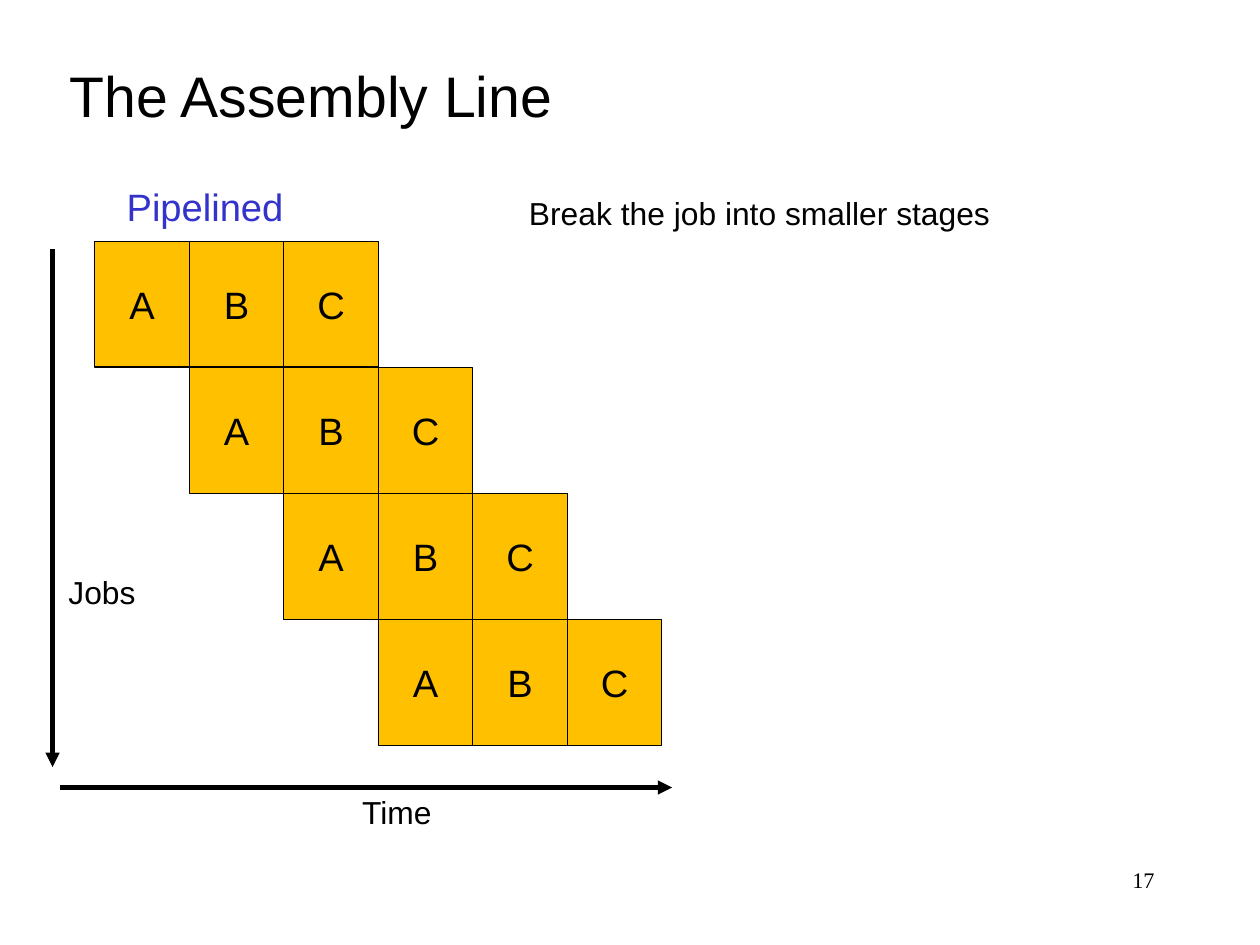
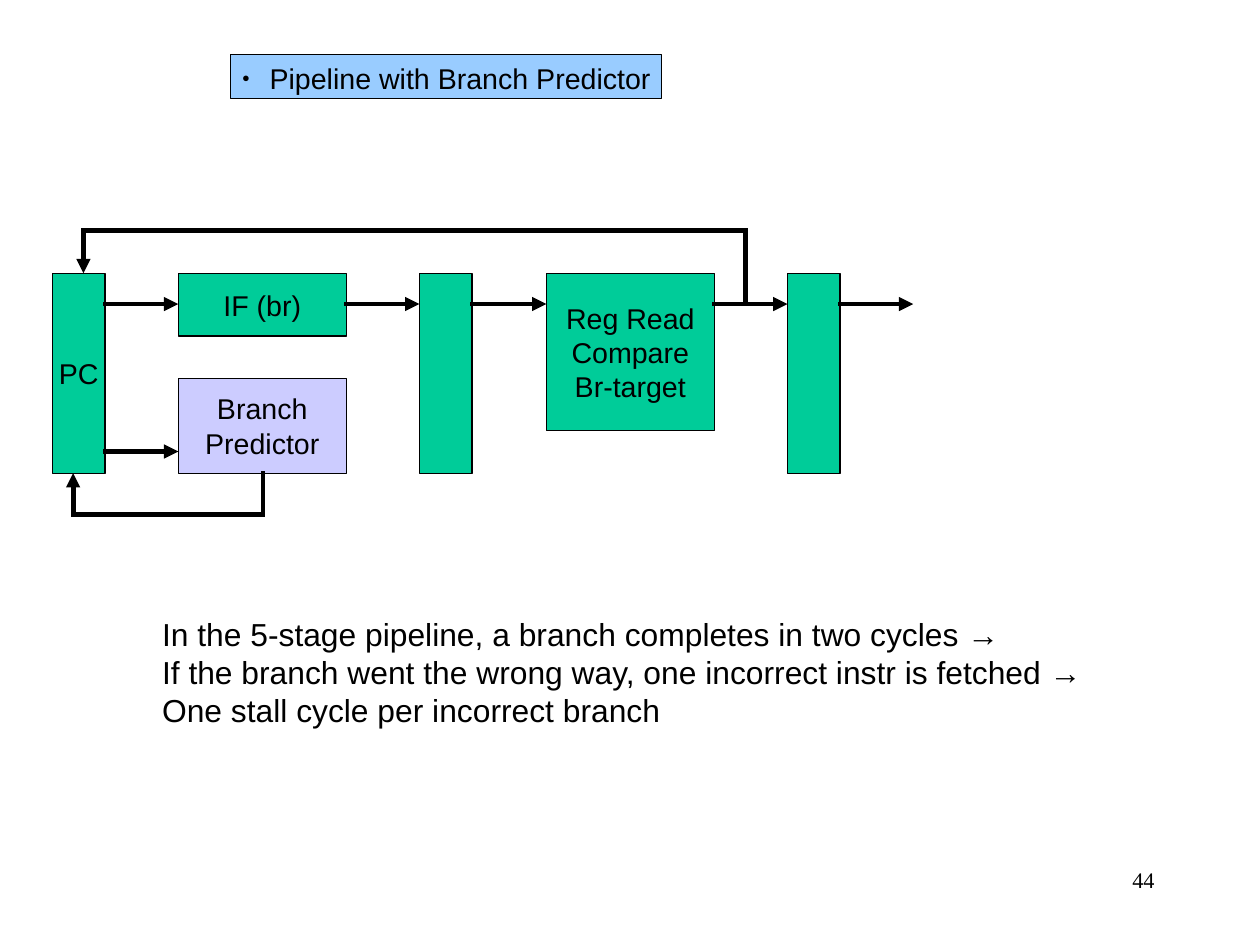
"""Build two slides on pipelining: the assembly line and the branch predictor."""
import dataclasses
import itertools

import lxml.etree
import pptx
import pptx.dml.color
import pptx.enum.shapes
import pptx.enum.text
import pptx.oxml.ns
import pptx.presentation
import pptx.shapes.autoshape
import pptx.slide
import pptx.text.text
import pptx.util

Inches = pptx.util.Inches
Align = pptx.enum.text.PP_ALIGN
Anchor = pptx.enum.text.MSO_ANCHOR
AutoSize = pptx.enum.text.MSO_AUTO_SIZE

CM_PER_INCH = 2.54
PAGE_WIDTH = 28 / CM_PER_INCH
PAGE_HEIGHT = 21 / CM_PER_INCH

BODY_FONT = "Arial"
NUMBER_FONT = "Times New Roman"

BLACK = "000000"
AMBER = "FFC000"
GREEN = "00CC99"
LILAC = "CCCCFF"
SKY = "99CCFF"
BLUE = "3333CC"

Point = tuple[float, float]


@dataclasses.dataclass(frozen=True)
class Label:
    left: float
    top: float
    width: float
    height: float
    text: str
    size: int = 20
    color: str = BLACK
    font: str = BODY_FONT
    align: Align = Align.LEFT
    wrap: bool = False


@dataclasses.dataclass(frozen=True)
class Block:
    left: float
    top: float
    width: float
    height: float
    text: str = ""
    fill: str = GREEN
    size: int = 18
    border: float = 0.75


def rgb(color: str) -> pptx.dml.color.RGBColor:
    return pptx.dml.color.RGBColor.from_string(color)


def add_element(parent: lxml.etree._Element, tag: str, **attributes: str) -> lxml.etree._Element:
    return lxml.etree.SubElement(parent, pptx.oxml.ns.qn(tag), attributes)


def style_text(frame: pptx.text.text.TextFrame, size: int, align: Align,
               color: str = BLACK, font: str = BODY_FONT) -> None:
    for paragraph in frame.paragraphs:
        paragraph.alignment = align
        paragraph.font.size = pptx.util.Pt(size)
        paragraph.font.name = font
        paragraph.font.color.rgb = rgb(color)


def draw_label(slide: pptx.slide.Slide, label: Label) -> None:
    box = slide.shapes.add_textbox(Inches(label.left), Inches(label.top),
                                   Inches(label.width), Inches(label.height))
    frame = box.text_frame
    frame.word_wrap = label.wrap
    frame.auto_size = AutoSize.NONE if label.wrap else AutoSize.SHAPE_TO_FIT_TEXT
    frame.text = label.text
    style_text(frame, label.size, label.align, label.color, label.font)


def draw_block(slide: pptx.slide.Slide, block: Block) -> pptx.shapes.autoshape.Shape:
    shape = slide.shapes.add_shape(pptx.enum.shapes.MSO_SHAPE.RECTANGLE,
                                   Inches(block.left), Inches(block.top),
                                   Inches(block.width), Inches(block.height))
    shape.shadow.inherit = False
    shape.fill.solid()
    shape.fill.fore_color.rgb = rgb(block.fill)
    shape.line.color.rgb = rgb(BLACK)
    shape.line.width = pptx.util.Pt(block.border)
    if block.text:
        frame = shape.text_frame
        frame.word_wrap = False
        frame.vertical_anchor = Anchor.MIDDLE
        frame.text = block.text
        style_text(frame, block.size, Align.CENTER)
    return shape


def draw_bulleted_heading(slide: pptx.slide.Slide, text: str) -> None:
    heading = draw_block(slide, Block(2.02, 0.48, 3.77, 0.38, fill=SKY, border=0))
    frame = heading.text_frame
    frame.word_wrap = False
    frame.margin_right = Inches(0.02)
    frame.vertical_anchor = Anchor.TOP
    frame.text = text
    properties = frame.paragraphs[0]._p.get_or_add_pPr()
    indent = Inches(0.24)
    properties.set("marL", str(indent))
    properties.set("indent", str(-indent))
    add_element(add_element(properties, "a:buClr"), "a:srgbClr", val=BLACK)
    add_element(properties, "a:buSzPct", val="45000")
    add_element(properties, "a:buFont", typeface=BODY_FONT)
    add_element(properties, "a:buChar", char="●")
    style_text(frame, 18, Align.LEFT)


def draw_route(slide: pptx.slide.Slide, *points: Point) -> None:
    for start, end in itertools.pairwise(points):
        segment = slide.shapes.add_connector(
            pptx.enum.shapes.MSO_CONNECTOR.STRAIGHT,
            *(Inches(coordinate) for coordinate in (*start, *end)))
        segment.line.color.rgb = rgb(BLACK)
        segment.line.width = pptx.util.Pt(3)
        stroke = segment.line._get_or_add_ln()
        stroke.set("cap", "sq")
        if end == points[-1]:
            add_element(stroke, "a:tailEnd", type="triangle")
        add_element(segment._element.spPr, "a:effectLst")


def add_numbered_slide(deck: pptx.presentation.Presentation, number: int) -> pptx.slide.Slide:
    slide = deck.slides.add_slide(deck.slide_layouts[6])
    draw_label(slide, Label(7.9, 7.53, 2.3, 0.55, str(number), 14,
                            font=NUMBER_FONT, align=Align.RIGHT, wrap=True))
    return slide


def build_assembly_line(deck: pptx.presentation.Presentation) -> None:
    slide = add_numbered_slide(deck, 17)
    for label in (
        Label(0.51, 0.48, 4.45, 0.7, "The Assembly Line", 36),
        Label(1.01, 1.56, 1.57, 0.5, "Pipelined", 24, BLUE),
        Label(4.53, 1.65, 4.24, 0.44, "Break the job into smaller stages"),
        Label(0.5, 4.96, 0.79, 0.44, "Jobs"),
        Label(3.07, 6.89, 0.82, 0.44, "Time"),
    ):
        draw_label(slide, label)

    jobs, stages = 4, "ABC"
    left, top, right, bottom = 0.83, 2.11, 5.79, 6.52
    stage_width = (right - left) / (jobs + len(stages) - 1)
    job_height = (bottom - top) / jobs
    for job in range(jobs):
        for step, stage in enumerate(stages, start=job):
            draw_block(slide, Block(left + step * stage_width, top + job * job_height,
                                    stage_width, job_height, stage, AMBER, 24))

    draw_route(slide, (0.46, 2.2), (0.46, 6.71))
    draw_route(slide, (0.55, 6.89), (5.88, 6.89))


def build_branch_predictor(deck: pptx.presentation.Presentation) -> None:
    slide = add_numbered_slide(deck, 44)
    draw_bulleted_heading(slide, "Pipeline with Branch Predictor")

    top, bottom = 2.39, 4.14
    latch_width, stage_width = 0.46, 1.47
    pc, fetch, first_latch, decode, second_latch = 0.46, 1.56, 3.67, 4.78, 6.89
    for block in (
        Block(pc, top, latch_width, bottom - top, "PC"),
        Block(fetch, top, stage_width, 0.55, "IF (br)"),
        Block(first_latch, top, latch_width, bottom - top),
        Block(decode, top, stage_width, 1.38, "Reg Read\nCompare\nBr-target"),
        Block(second_latch, top, latch_width, bottom - top),
        Block(fetch, 3.31, stage_width, 0.83, "Branch\nPredictor", LILAC),
    ):
        draw_block(slide, block)

    flow, lookup = 2.66, 3.95
    for start, end, height in (
        (pc + latch_width, fetch, flow),
        (fetch + stage_width, first_latch, flow),
        (first_latch + latch_width, decode, flow),
        (decode + stage_width, second_latch, flow),
        (second_latch + latch_width, 7.99, flow),
        (pc + latch_width, fetch, lookup),
    ):
        draw_route(slide, (start, height), (end, height))
    draw_route(slide, (6.52, flow), (6.52, 2.02), (0.73, 2.02), (0.73, top))
    draw_route(slide, (2.3, bottom), (2.3, 4.5), (0.64, 4.5), (0.64, bottom))

    draw_label(slide, Label(1.32, 5.33, 8.27, 1.1, "\n".join((
        "In the 5-stage pipeline, a branch completes in two cycles →",
        "If the branch went the wrong way, one incorrect instr is fetched →",
        "One stall cycle per incorrect branch",
    ))))


def main() -> None:
    deck = pptx.Presentation()
    deck.slide_width = Inches(PAGE_WIDTH)
    deck.slide_height = Inches(PAGE_HEIGHT)
    build_assembly_line(deck)
    build_branch_predictor(deck)
    deck.save("out.pptx")


if __name__ == "__main__":
    main()
